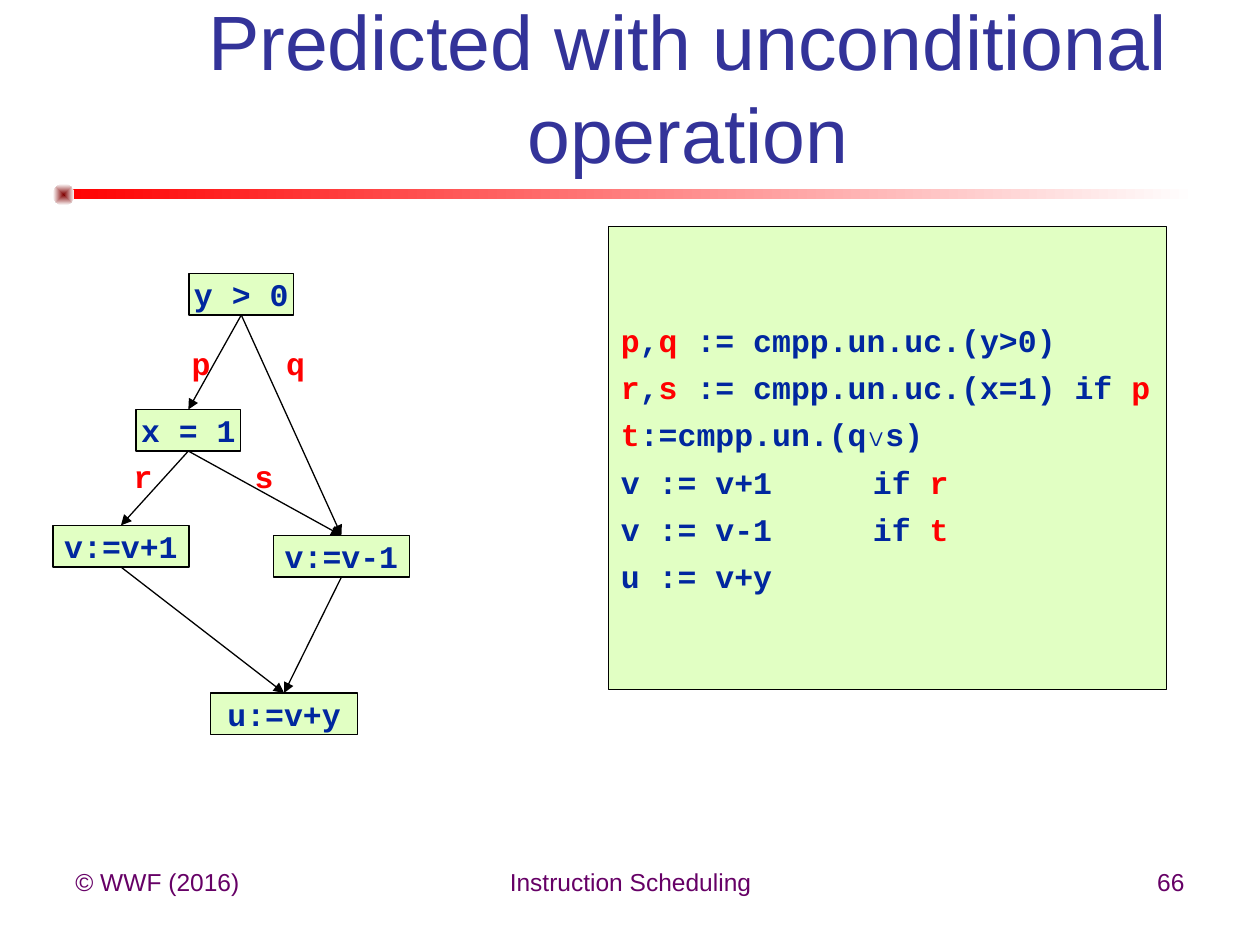
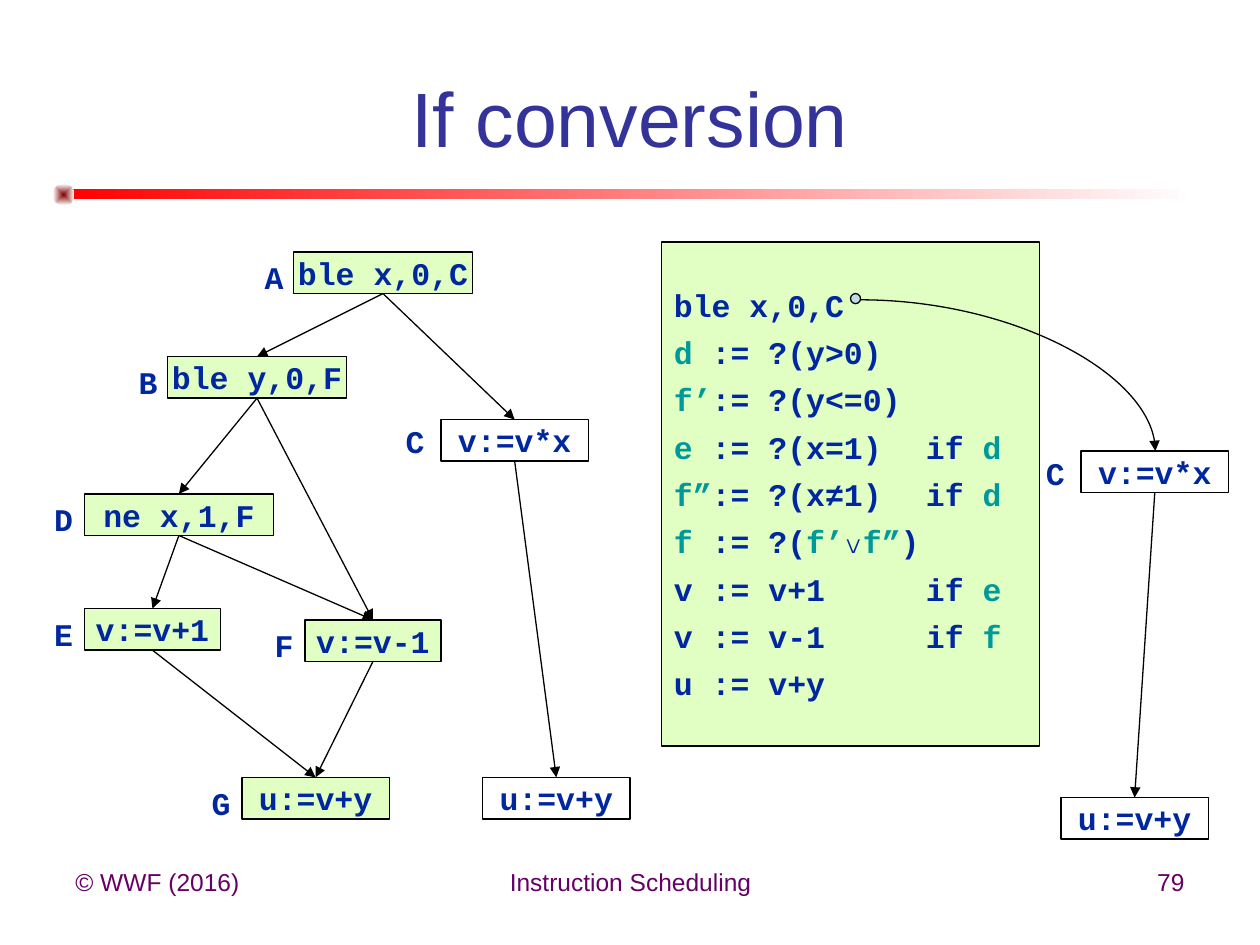
import lxml.etree
import pptx
import pptx.dml.color
import pptx.enum.shapes
import pptx.enum.text
import pptx.oxml.ns
import pptx.util

Inches, Pt = pptx.util.Inches, pptx.util.Pt
qn = pptx.oxml.ns.qn
SHAPE = pptx.enum.shapes.MSO_SHAPE
LINK = pptx.enum.shapes.MSO_CONNECTOR
ALIGN = pptx.enum.text.PP_ALIGN
MID = pptx.enum.text.MSO_ANCHOR.MIDDLE
TOP = pptx.enum.text.MSO_ANCHOR.TOP
FIXED = pptx.enum.text.MSO_AUTO_SIZE.NONE

GREEN, NAVY, RED, TEAL, BLACK = "E1FFC3", "00279F", "FF0000", "009999", "000000"
HEAD = {"name": "Arial", "size": Pt(44), "bold": False}
FOOT = {"name": "Arial", "size": Pt(14), "bold": False}
CODE = {"name": "Courier New", "size": Pt(18), "bold": True}
HIGH = 0.33  # height of a node


def rgb(code):
    return pptx.dml.color.RGBColor.from_string(code)


def write(shape, lines, font, color, accent=None, align=ALIGN.CENTER,
          anchor=MID, wrap=True):
    """Fill a shape with lines; text between bars takes the accent colour."""
    frame = shape.text_frame
    frame.auto_size, frame.word_wrap = FIXED, wrap
    frame.vertical_anchor = anchor
    for i, line in enumerate(lines):
        para = frame.add_paragraph() if i else frame.paragraphs[0]
        para.alignment = align
        para.space_before = Pt(5.4 if i else 0)
        if "\t" in line:
            tabs = lxml.etree.SubElement(para._p.get_or_add_pPr(), qn("a:tabLst"))
            lxml.etree.SubElement(tabs, qn("a:tab"), pos=str(Inches(2)), algn="l")
        for j, part in enumerate(line.split("|")):
            if part:
                run = para.add_run()
                run.text = part
                for key, value in font.items():
                    setattr(run.font, key, value)
                run.font.color.rgb = rgb(accent if j % 2 else color)


# Nodes: text, left, top, width, fill. Labels: text, left, top.
pages = [
    {
        "title": "Predicted with unconditional operation",
        "place": (1.42, 0.27, 8.08, 0.83),
        "number": "66",
        "accent": RED,
        "block": (4.83, 1.8, 4.43, 3.67),
        "code": [
            "|p|,|q| := cmpp.un.uc.(y>0)",
            "|r|,|s| := cmpp.un.uc.(x=1) if |p",
            "|t|:=cmpp.un.(q∨s)",
            "v := v+1\tif |r",
            "v := v-1\tif |t",
            "u := v+y",
        ],
        "nodes": {
            "A": ("y > 0", 1.5, 2.17, 0.83, GREEN),
            "B": ("x = 1", 1.08, 3.25, 0.83, GREEN),
            "C": ("v:=v-1", 2.17, 4.25, 1.08, GREEN),
            "D": ("v:=v+1", 0.42, 4.17, 1.08, GREEN),
            "E": ("u:=v+y", 1.67, 5.5, 1.17, GREEN),
        },
        "links": "AB AC BD BC DE CE",
        "tint": RED,
        "labels": [("q", 2.17, 2.68), ("p", 1.42, 2.68),
                   ("r", 0.96, 3.58), ("s", 1.92, 3.58)],
    },
    {
        "title": "If conversion",
        "place": (0.5, 0.3, 9, 1.25),
        "number": "79",
        "accent": TEAL,
        "block": (5.25, 1.92, 3, 4),
        "code": [
            "ble x,0,C",
            "|d| := ?(y>0)",
            "|f’|:= ?(y<=0)",
            "|e| := ?(x=1)\tif |d",
            "|f”|:= ?(x≠1)\tif |d",
            "|f| := ?(|f’|∨|f”|)",
            "v := v+1\tif |e",
            "v := v-1\tif |f",
            "u := v+y",
        ],
        "nodes": {
            "A": ("ble x,0,C", 2.33, 2, 1.42, GREEN),
            "B": ("ble y,0,F", 1.33, 2.83, 1.42, GREEN),
            "C": ("v:=v*x", 3.5, 3.33, 1.17, None),
            "D": ("ne x,1,F", 0.67, 3.92, 1.5, GREEN),
            "E": ("v:=v+1", 0.67, 4.83, 1.08, GREEN),
            "F": ("v:=v-1", 2.42, 4.92, 1.08, GREEN),
            "G": ("u:=v+y", 1.92, 6.17, 1.17, GREEN),
            "H": ("u:=v+y", 3.83, 6.17, 1.17, None),
            "I": ("v:=v*x", 8.58, 3.58, 1.17, None),
            "J": ("u:=v+y", 8.42, 6.33, 1.17, None),
        },
        "links": "AB AC BD BF DE DF EG FG CH IJ",
        "tint": NAVY,
        "labels": [("A", 2, 2), ("B", 1, 2.83), ("C", 3.12, 3.3),
                   ("D", 0.33, 3.92), ("E", 0.33, 4.83), ("F", 2.08, 4.92),
                   ("G", 1.58, 6.17), ("C", 8.2, 3.55)],
        "exit": (6.75, 2.33, 0.08, 0.08),
        "curve": (6.83, 2.38, 9.17, 3.58),
    },
]

# Header ornaments: shape, place, first colour
bands = [(SHAPE.RECTANGLE, (0.5, 1.5, 9, 0.08), "FF0000"),
         (SHAPE.OVAL, (0.42, 1.46, 0.17, 0.17), "800000")]

deck = pptx.Presentation()
deck.slide_width, deck.slide_height = Inches(10), Inches(7.5)

for page in pages:
    slide = deck.slides.add_slide(deck.slide_layouts[5])
    shapes = slide.shapes

    for kind, place, first in bands:
        band = shapes.add_shape(kind, *map(Inches, place))
        band.shadow.inherit = False
        band.line.fill.background()
        band.fill.gradient()
        band.fill.gradient_angle = 0
        for stop, color, where in zip(band.fill.gradient_stops, (first, "FFFFFF"), (0, 1)):
            stop.color.rgb, stop.position = rgb(color), where
        if kind == SHAPE.OVAL:
            grad = band._element.spPr.find(qn("a:gradFill"))
            grad.remove(grad.find(qn("a:lin")))
            way = lxml.etree.SubElement(grad, qn("a:path"), path="shape")
            lxml.etree.SubElement(way, qn("a:fillToRect"),
                                  dict.fromkeys("ltrb", "50000"))

    feet = [("© WWF (2016)", 0.5, 2.33, ALIGN.LEFT),
            ("Instruction Scheduling", 3.42, 3.17, ALIGN.CENTER),
            (page["number"], 7.17, 2.33, ALIGN.RIGHT)]
    for text, left, width, align in feet:
        foot = shapes.add_textbox(Inches(left), Inches(6.83), Inches(width), Inches(0.52))
        write(foot, [text], FOOT, "660066", align=align, anchor=TOP)

    title = shapes.title
    title.left, title.top, title.width, title.height = map(Inches, page["place"])
    write(title, [page["title"]], HEAD, "333399")

    # Code block, nodes and the exit dot share one outline
    boxes = {"code": (SHAPE.FLOWCHART_PROCESS, page["block"], GREEN)}
    for name, (text, left, top, width, fill) in page["nodes"].items():
        boxes[name] = (SHAPE.FLOWCHART_PROCESS, (left, top, width, HIGH), fill)
    if "exit" in page:
        boxes["exit"] = (SHAPE.FLOWCHART_CONNECTOR, page["exit"], "BBE0E3")
    drawn = {}
    for name, (kind, place, fill) in boxes.items():
        box = drawn[name] = shapes.add_shape(kind, *map(Inches, place))
        box.shadow.inherit = False
        box.line.color.rgb, box.line.width = rgb(BLACK), Pt(0.75)
        if fill:
            box.fill.solid()
            box.fill.fore_color.rgb = rgb(fill)
        else:
            box.fill.background()
        if name == "code":
            write(box, page["code"], CODE, NAVY, page["accent"], ALIGN.LEFT)
        elif name in page["nodes"]:
            write(box, [page["nodes"][name][0]], CODE, NAVY, wrap=False)

    # Arrows run from the bottom of one node to the top of the next
    lines = []
    for start, end in page["links"].split():
        line = shapes.add_connector(LINK.STRAIGHT, 0, 0, 0, 0)
        line.begin_connect(drawn[start], 2)
        line.end_connect(drawn[end], 0)
        lines.append(line)
    if "curve" in page:
        line = shapes.add_connector(LINK.CURVE, *map(Inches, page["curve"]))
        line._element.spPr.find(qn("a:prstGeom")).set("prst", "curvedConnector2")
        lines.append(line)
    for line in lines:
        line.line.color.rgb, line.line.width = rgb(BLACK), Pt(0.75)
        lxml.etree.SubElement(line.line._get_or_add_ln(), qn("a:tailEnd"), type="triangle")
        lxml.etree.SubElement(line._element.spPr, qn("a:effectLst"))

    for text, left, top in page["labels"]:
        label = shapes.add_textbox(Inches(left), Inches(top), Inches(0.35), Inches(0.4))
        write(label, [text], CODE, page["tint"], wrap=False)

deck.save("out.pptx")
